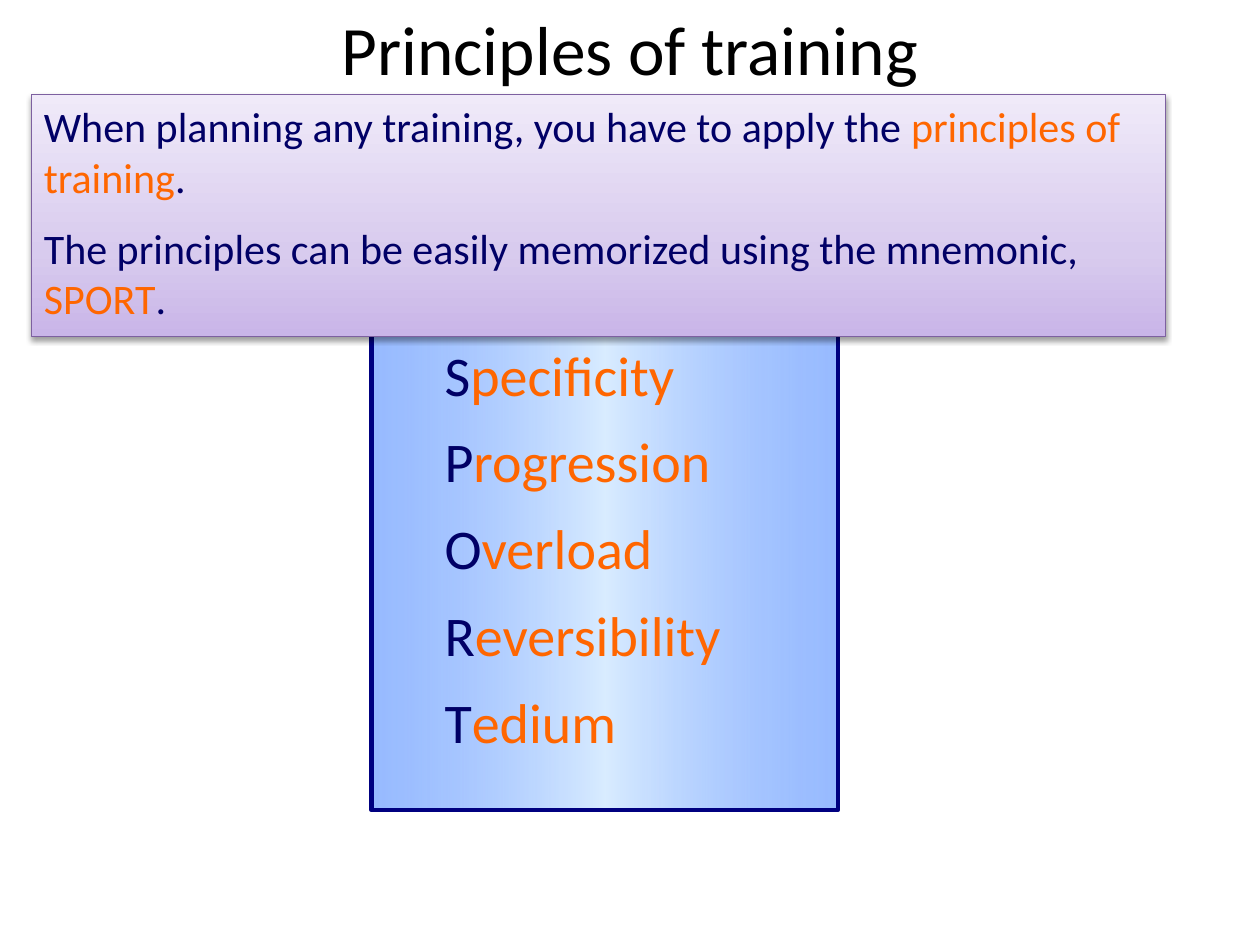
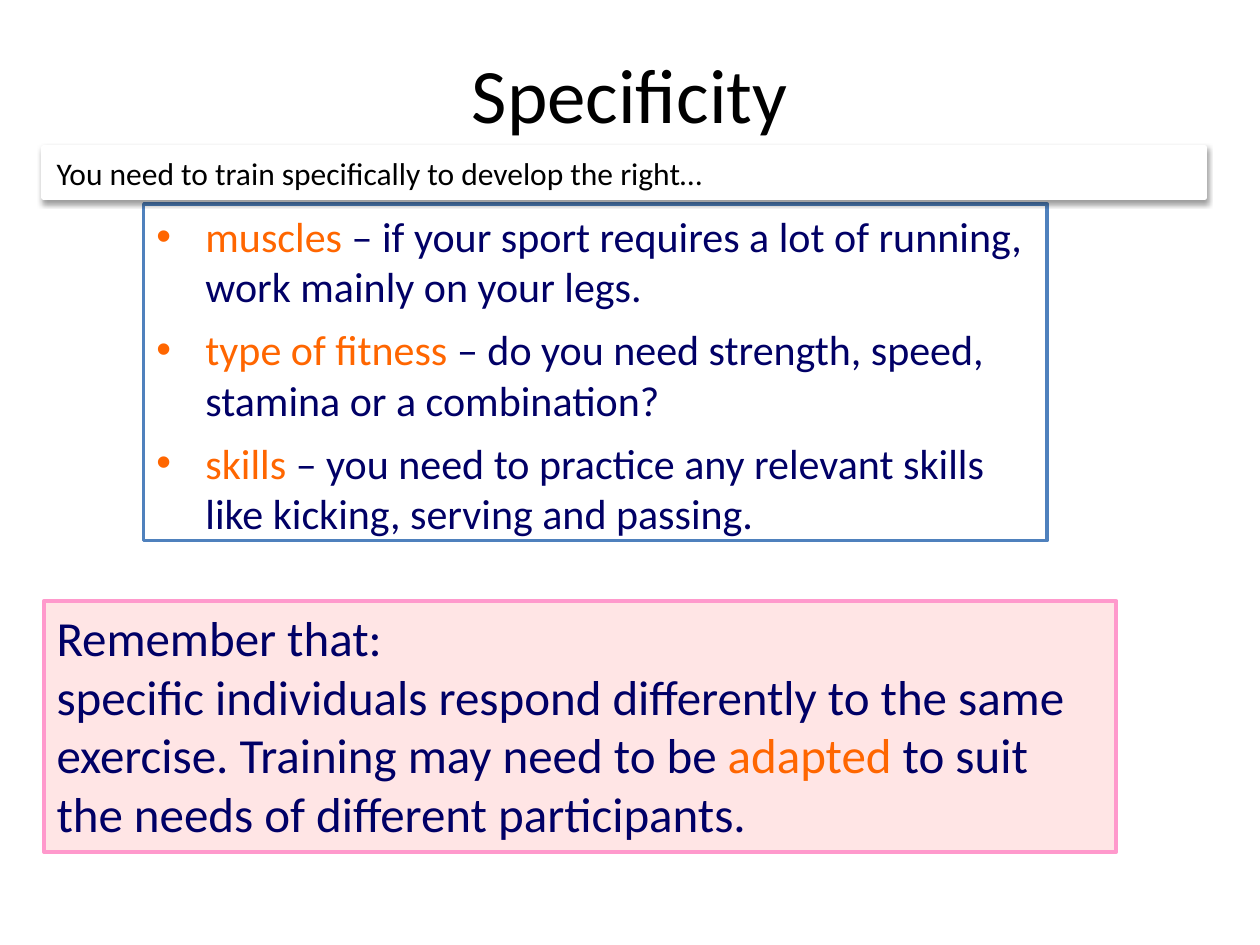
from lxml import etree
from pptx import Presentation
from pptx.dml.color import RGBColor
from pptx.enum.shapes import MSO_SHAPE
from pptx.enum.text import MSO_ANCHOR, MSO_AUTO_SIZE, PP_ALIGN
from pptx.oxml.ns import qn
from pptx.util import Inches, Pt

FONT = "Calibri"
BLACK, WHITE = "000000", "FFFFFF"
NAVY, DEEP_NAVY, ORANGE = "010066", "000066", "FF6600"
TITLE_ONLY, TITLE_AND_CONTENT = 5, 1


def rgb(value):
    return RGBColor.from_string(value)


def add_node(parent, tag, **attributes):
    return etree.SubElement(parent, qn(tag), {k: str(v) for k, v in attributes.items()})


def add_color(parent, color, opacity=100):
    node = add_node(parent, "a:srgbClr", val=color)
    if opacity < 100:
        add_node(node, "a:alpha", val=opacity * 1000)


def place(shape, box):
    shape.left, shape.top, shape.width, shape.height = (Inches(v) for v in box)


def fill_gradient(shape, stops, angle):
    shape.fill.gradient()
    shape.fill.gradient_angle = angle
    stop_list = shape.fill._xPr.find(qn("a:gradFill")).find(qn("a:gsLst"))
    for stop in list(stop_list):
        stop_list.remove(stop)
    for position, color, opacity in stops:
        add_color(add_node(stop_list, "a:gs", pos=position * 1000), color, opacity)


def outline(shape, color, width):
    shape.line.color.rgb = rgb(color)
    shape.line.width = Pt(width)


def drop_shadow(shape):
    effects = shape._element.spPr.find(qn("a:effectLst"))
    shadow = add_node(effects, "a:outerShdw", blurRad=Pt(3.1), dist=Pt(1.6),
                      dir=90 * 60000, rotWithShape=0)
    add_color(shadow, BLACK, 38)


def add_panel(slide, box, line_color, line_width, fill=None):
    panel = slide.shapes.add_shape(MSO_SHAPE.RECTANGLE, *(Inches(v) for v in box))
    panel.shadow.inherit = False
    if fill:
        panel.fill.solid()
        panel.fill.fore_color.rgb = rgb(fill)
    outline(panel, line_color, line_width)
    return panel


def write(shape, paragraphs, size, space_before=0, bulleted=False):
    frame = shape.text_frame
    frame.word_wrap = True
    frame.auto_size = MSO_AUTO_SIZE.SHAPE_TO_FIT_TEXT
    frame.vertical_anchor = MSO_ANCHOR.TOP
    for index, runs in enumerate(paragraphs):
        paragraph = frame.add_paragraph() if index else frame.paragraphs[0]
        paragraph.alignment = PP_ALIGN.LEFT
        properties = paragraph._p.get_or_add_pPr()
        if space_before:
            spacing = add_node(properties, "a:spcBef")
            add_node(spacing, "a:spcPct", val=space_before * 1000)
        if bulleted:
            properties.set("marL", str(Inches(0.39)))
            properties.set("indent", str(-Inches(0.39)))
            add_node(properties, "a:buChar", char="•")
        for text, color in runs:
            run = paragraph.add_run()
            run.text = text
            style(run.font, size, color)


def style(font, size, color):
    font.name, font.size = FONT, Pt(size)
    font.color.rgb = rgb(color)


def add_titled_slide(deck, layout, title, box, size):
    slide = deck.slides.add_slide(deck.slide_layouts[layout])
    holder = slide.shapes.title
    place(holder, box)
    frame = holder.text_frame
    frame.text = title
    frame.auto_size = MSO_AUTO_SIZE.NONE
    frame.vertical_anchor = MSO_ANCHOR.MIDDLE
    frame.paragraphs[0].alignment = PP_ALIGN.CENTER
    style(frame.paragraphs[0].runs[0].font, size, BLACK)
    return slide


def add_mnemonic_panel(slide, box):
    panel = add_panel(slide, box, "000080", 2.5)
    fill_gradient(panel, [(0, "6699FF", 67), (50, "D9ECFF", 100), (100, "6699FF", 67)], 0)


def add_mnemonic_words(slide, box):
    words = ["Specificity", "Progression", "Overload", "Reversibility", "Tedium"]
    text_box = slide.shapes.add_textbox(*(Inches(v) for v in box))
    write(text_box, [[(w[0], DEEP_NAVY), (w[1:], ORANGE)] for w in words], 32, 35)


def add_introduction(slide, box):
    panel = add_panel(slide, box, "7D60A0", 0.75)
    fill_gradient(panel, [(0, "C9B5E8", 100), (35, "D8CBEE", 100), (100, "F0EAF9", 100)], 90)
    drop_shadow(panel)
    write(panel, [
        [("When planning any training, you have to apply the ", NAVY),
         ("principles of training", ORANGE), (".", NAVY)],
        [("The principles can be easily memorized using the mnemonic, ", NAVY),
         ("SPORT", ORANGE), (".", NAVY)],
    ], 24, 50)


def add_lead_in(slide, box):
    banner = add_panel(slide, box, WHITE, 3, WHITE)
    drop_shadow(banner)
    write(banner, [[("You need to train specifically to develop the right…", BLACK)]], 18, 50)


def add_focus_list(slide, box):
    focus = [
        ("muscles", "if your sport requires a lot of running, work mainly on your legs."),
        ("type of fitness", "do you need strength, speed, stamina or a combination?"),
        ("skills", "you need to practice any relevant skills like kicking, serving and passing."),
    ]
    body = slide.placeholders[1]
    place(body, box)
    body.fill.solid()
    body.fill.fore_color.rgb = rgb(WHITE)
    outline(body, "4F81BD", 2)
    write(body, [[(term, ORANGE), (f" – {advice}", NAVY)] for term, advice in focus],
          24, 30, bulleted=True)


def add_reminder(slide, box):
    panel = add_panel(slide, box, "FF99CC", 2.5, "FFE5E5")
    write(panel, [
        [("Remember that:", DEEP_NAVY)],
        [("specific individuals respond differently to the same exercise. "
          "Training may need to be ", DEEP_NAVY),
         ("adapted", ORANGE),
         (" to suit the needs of different participants.", DEEP_NAVY)],
    ], 28)


def build_principles(deck):
    slide = add_titled_slide(deck, TITLE_ONLY, "Principles of training",
                             (0.5, 0.17, 9, 0.42), 39.6)
    add_mnemonic_panel(slide, (2.95, 2.57, 3.7, 3.86))
    add_introduction(slide, (0.25, 0.75, 9, 1.92))
    add_mnemonic_words(slide, (3.43, 2.65, 4.33, 3.51))


def build_specificity(deck):
    slide = add_titled_slide(deck, TITLE_AND_CONTENT, "Specificity",
                             (0.5, 0.3, 9, 0.87), 44)
    add_lead_in(slide, (0.35, 1.17, 9.21, 0.4))
    add_focus_list(slide, (1.14, 1.62, 7.17, 2.77))
    add_reminder(slide, (0.35, 4.77, 8.51, 1.99))


deck = Presentation()
deck.slide_width, deck.slide_height = Inches(10), Inches(7.5)
build_principles(deck)
build_specificity(deck)
deck.save("out.pptx")
